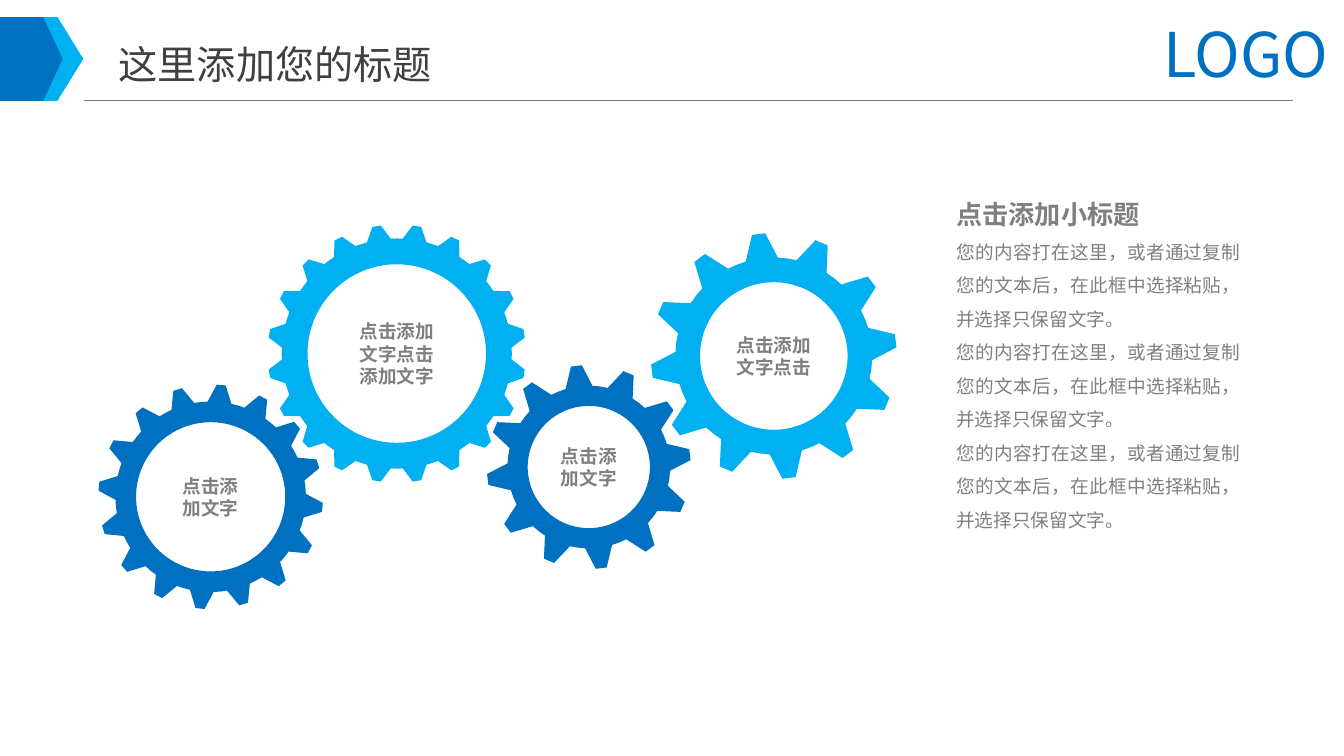
from dataclasses import dataclass
from math import cos, radians, sin
from lxml.etree import SubElement
from pptx import Presentation
from pptx.dml.color import RGBColor
from pptx.enum.shapes import MSO_CONNECTOR, MSO_SHAPE
from pptx.enum.text import MSO_ANCHOR, PP_ALIGN
from pptx.oxml.ns import qn
from pptx.util import Cm, Pt


@dataclass(frozen=True)
class Theme:
    """Colours, fonts and type sizes."""
    dark: str = "0070C0"
    light: str = "00B0F0"
    grey: str = "7F7F7F"
    ink: str = "404040"
    sans: str = "Noto Sans CJK SC"
    mark: str = "Noto Sans CJK KR"
    huge: float = 44
    title: float = 28
    head: float = 18.7
    body: float = 13.3


def ring(x, y, spots):
    """Turn clockwise angles from the top, with radii, into points."""
    return [(Cm(x + r * sin(radians(a))), Cm(y - r * cos(radians(a)))) for a, r in spots]


class Deck:
    """Draws styled elements on the current slide."""

    def __init__(self, theme):
        """Open a wide deck with one blank slide."""
        self.theme = theme
        self.show = Presentation()
        self.show.slide_width, self.show.slide_height = Cm(33.87), Cm(19.05)
        self.slide = self.show.slides.add_slide(self.show.slide_layouts[6])
        self.shapes = self.slide.shapes

    def apply(self, item, form):
        """Set each format value on an item."""
        for name, value in form.items():
            setattr(item, name, value)

    def paint(self, shape, color):
        """Give a shape a flat fill."""
        shape.shadow.inherit = False
        shape.fill.solid()
        shape.fill.fore_color.rgb = RGBColor.from_string(color)
        shape.line.fill.background()

    def text(self, box, rows, color, face=None, anchor=MSO_ANCHOR.MIDDLE, wrap=True, **form):
        """Add a text box from rows of words, size and weight."""
        face = face or self.theme.sans
        frame = self.shapes.add_textbox(*map(Cm, box)).text_frame
        self.apply(frame, {"word_wrap": wrap, "vertical_anchor": anchor})
        for i, (words, size, bold) in enumerate(rows):
            para = frame.add_paragraph() if i else frame.paragraphs[0]
            self.apply(para, form)
            run = para.add_run()
            run.text = words
            self.apply(run.font, {"size": Pt(size), "bold": bold, "name": face})
            run.font.color.rgb = RGBColor.from_string(color)
            SubElement(run.font._element, qn("a:ea")).set("typeface", face)

    def arrow(self, top, width, height, color):
        """Add a pentagon tab at the left edge."""
        shape = self.shapes.add_shape(MSO_SHAPE.PENTAGON, *map(Cm, (0, top, width, height)))
        shape.adjustments[0] = 0.31
        self.paint(shape, color)

    def rule(self, left, right, y, color):
        """Add a thin level line."""
        line = self.shapes.add_connector(
            MSO_CONNECTOR.STRAIGHT, Cm(left), Cm(y), Cm(right), Cm(y))
        line.line.width = Pt(0.75)
        line.line.color.rgb = RGBColor.from_string(color)
        SubElement(line._element.spPr, qn("a:effectLst"))

    def gear(self, x, y, outer, root, hole, teeth, turn, tip, base, color):
        """Add a toothed wheel with a round hole."""
        step = 360 / teeth
        tooth = [(-base, root), (-tip, outer), (tip, outer), (base, root), (step / 2, root)]
        rim = ring(x, y, [(turn + k * step + a, r) for k in range(teeth) for a, r in tooth])
        bore = ring(x, y, [(-a, hole) for a in range(0, 360, 4)])
        path = self.shapes.build_freeform(*rim[0], scale=1.0)
        path.add_line_segments(rim[1:], close=True)
        path.move_to(*bore[0])
        path.add_line_segments(bore[1:], close=True)
        self.paint(path.convert_to_shape(), color)

    def label(self, x, y, width, lines):
        """Add bold lines centred on a point."""
        high = 0.56 * len(lines) + 0.27
        rows = [(line, self.theme.body, True) for line in lines]
        self.text((x - width / 2, y - high / 2, width, high), rows, self.theme.grey,
                  alignment=PP_ALIGN.CENTER)


def main():
    """Build and save the slide."""
    look = Theme()
    deck = Deck(look)
    for width, color in ((2.1, look.light), (1.58, look.dark)):
        deck.arrow(0.43, width, 2.11, color)
    deck.rule(2.11, 32.59, 2.54, look.grey)
    deck.text((29.06, 0.28, 4.8, 2.13), [("LOGO", look.huge, False)], look.dark,
              look.mark, wrap=False)
    deck.text((2.74, 0.89, 13.67, 1.45), [("这里添加您的标题", look.title, False)], look.ink)
    gears = (
        (10, 8.91, 3.25, 2.9, 2.25, 20, 9, 1.9, 6, look.light,
         4.42, ("点击添加", "文字点击", "添加文字")),
        (14.84, 11.77, 2.57, 2.05, 1.54, 12, -7, 3.1, 9.6, look.dark,
         3.12, ("点击添", "加文字")),
        (5.31, 12.52, 2.83, 2.4, 1.88, 16, 5.4, 2.3, 7.2, look.dark,
         3.12, ("点击添", "加文字")),
        (19.5, 8.97, 3.1, 2.48, 1.86, 12, -7.1, 3.1, 9.5, look.light,
         4.42, ("点击添加", "文字点击")),
    )
    for *wheel, width, lines in gears:
        deck.gear(*wheel)
        deck.label(*wheel[:2], width, lines)
    words = "您的内容打在这里，或者通过复制您的文本后，在此框中选择粘贴，并选择只保留文字。"
    rows = [("点击添加小标题", look.head, True)] + [(words, look.body, False)] * 3
    deck.text((23.85, 4.47, 7.67, 9.14), rows, look.grey, anchor=MSO_ANCHOR.TOP,
              alignment=PP_ALIGN.JUSTIFY, line_spacing=1.5)
    deck.show.save("out.pptx")


if __name__ == "__main__":
    main()
